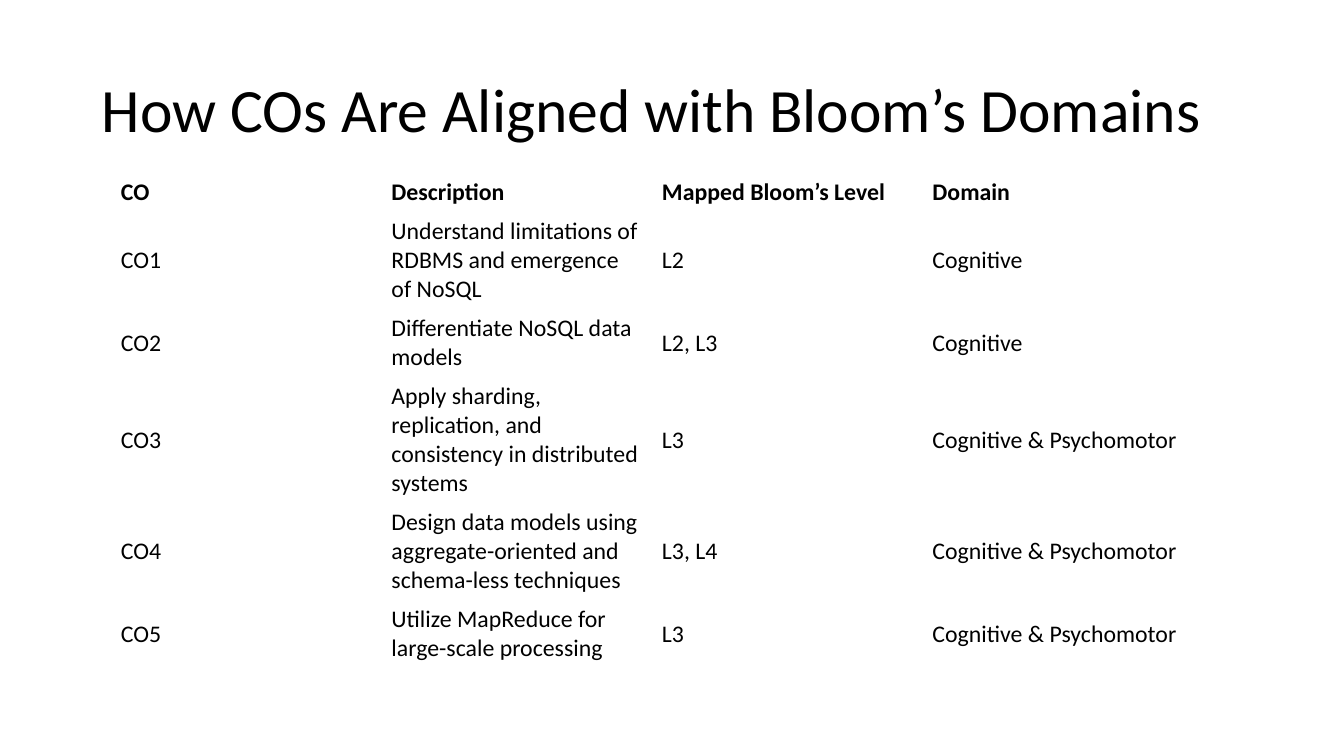
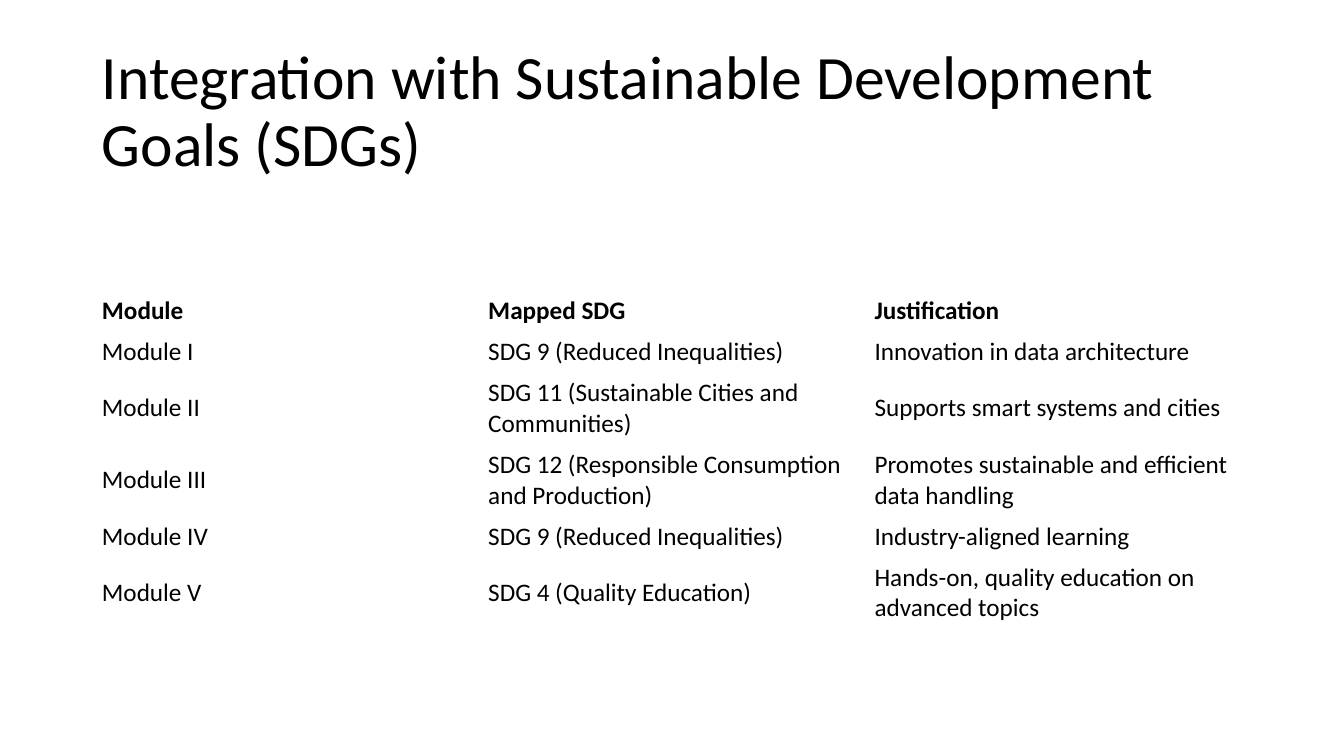
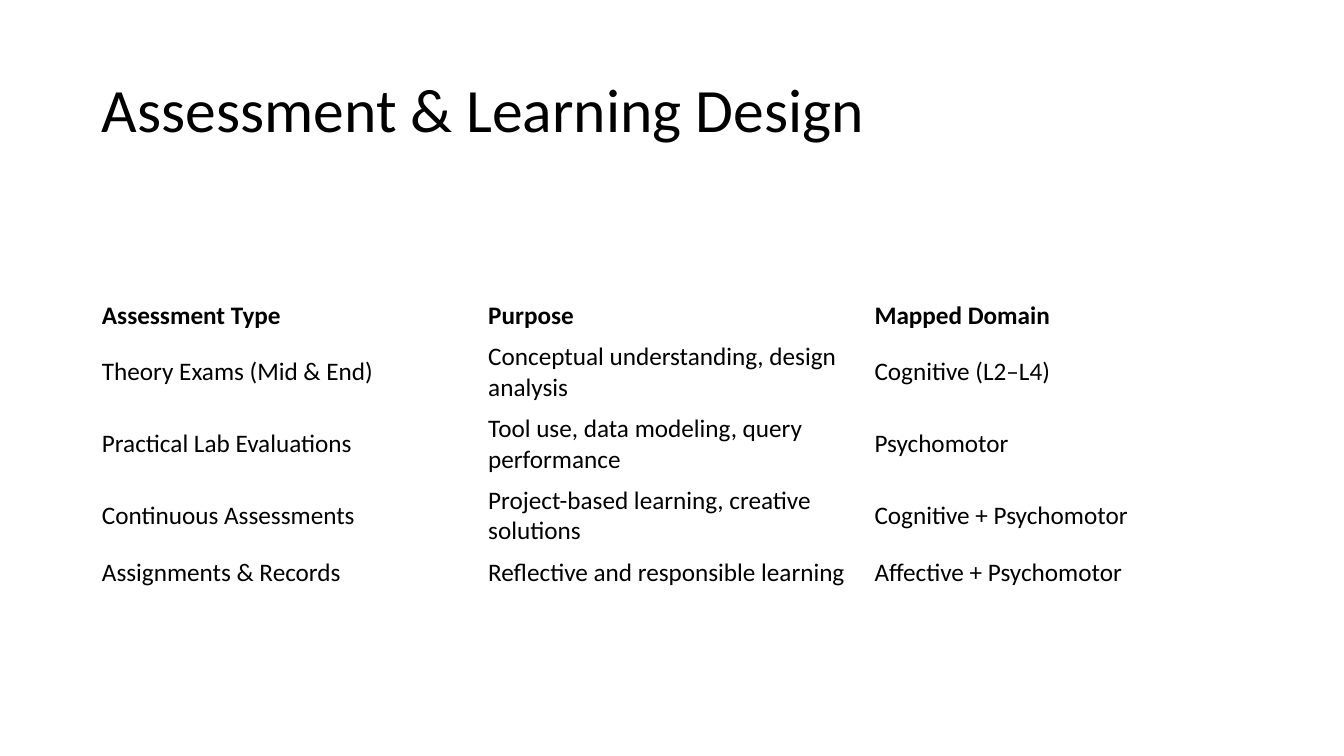
from pptx import Presentation
from pptx.dml.color import RGBColor
from pptx.enum.text import MSO_ANCHOR
from pptx.util import Pt

PX = 914400 / 100.8
MIDDLE = MSO_ANCHOR.MIDDLE
BLACK = RGBColor(0x00, 0x00, 0x00)
FONT = "Calibri"
TITLE_BOX = (92, 40, 1159, 146)
TITLE_SIZE = 44
CELL_PADDING = 5


def px(length):
    return round(length * PX)


def add_run(paragraph, text, size, bold=False):
    run = paragraph.add_run()
    run.text = text
    run.font.name = FONT
    run.font.size = Pt(size)
    run.font.bold = bold
    run.font.color.rgb = BLACK


SLIDES = [
    {
        "title": "How COs Are Aligned with Bloom’s Domains",
        "left": 112, "top": 173, "width": 1082,
        "size": 17, "line_height": 29, "side_margin": 9,
        "row_lines": [1, 3, 2, 4, 3, 2],
        "rows": [
            ("CO", "Description", "Mapped Bloom’s Level", "Domain"),
            ("CO1", "Understand limitations of RDBMS and emergence of NoSQL",
             "L2", "Cognitive"),
            ("CO2", "Differentiate NoSQL data models", "L2, L3", "Cognitive"),
            ("CO3", "Apply sharding, replication, and consistency in distributed systems",
             "L3", "Cognitive & Psychomotor"),
            ("CO4", "Design data models using aggregate-oriented and schema-less techniques",
             "L3, L4", "Cognitive & Psychomotor"),
            ("CO5", "Utilize MapReduce for large-scale processing",
             "L3", "Cognitive & Psychomotor"),
        ],
    },
    {
        "title": "Integration with Sustainable Development Goals (SDGs)",
        "left": 92, "top": 290, "width": 1159,
        "size": 18, "line_height": 31, "side_margin": 10,
        "row_lines": [1, 1, 2, 2, 1, 2],
        "rows": [
            ("Module", "Mapped SDG", "Justification"),
            ("Module I", "SDG 9 (Reduced Inequalities)", "Innovation in data architecture"),
            ("Module II", "SDG 11 (Sustainable Cities and Communities)",
             "Supports smart systems and cities"),
            ("Module III", "SDG 12 (Responsible Consumption and Production)",
             "Promotes sustainable and efficient data handling"),
            ("Module IV", "SDG 9 (Reduced Inequalities)", "Industry-aligned learning"),
            ("Module V", "SDG 4 (Quality Education)",
             "Hands-on, quality education on advanced topics"),
        ],
    },
    {
        "title": "Assessment & Learning Design",
        "left": 92, "top": 295, "width": 1159,
        "size": 18, "line_height": 31, "side_margin": 10,
        "row_lines": [1, 2, 2, 2, 1],
        "rows": [
            ("Assessment Type", "Purpose", "Mapped Domain"),
            ("Theory Exams (Mid & End)", "Conceptual understanding, design analysis",
             "Cognitive (L2–L4)"),
            ("Practical Lab Evaluations", "Tool use, data modeling, query performance",
             "Psychomotor"),
            ("Continuous Assessments", "Project-based learning, creative solutions",
             "Cognitive + Psychomotor"),
            ("Assignments & Records", "Reflective and responsible learning",
             "Affective + Psychomotor"),
        ],
    },
]

presentation = Presentation()
presentation.slide_width = px(1344)
presentation.slide_height = px(756)
blank_layout = presentation.slide_layouts[6]

for content in SLIDES:
    slide = presentation.slides.add_slide(blank_layout)

    title_frame = slide.shapes.add_textbox(*map(px, TITLE_BOX)).text_frame
    title_frame.word_wrap = True
    title_frame.vertical_anchor = MIDDLE
    title_paragraph = title_frame.paragraphs[0]
    title_paragraph.line_spacing = 0.9
    add_run(title_paragraph, content["title"], TITLE_SIZE)

    rows = content["rows"]
    row_heights = [lines * content["line_height"] + 2 * CELL_PADDING
                   for lines in content["row_lines"]]
    table = slide.shapes.add_table(
        len(rows), len(rows[0]), px(content["left"]), px(content["top"]),
        px(content["width"]), px(sum(row_heights))).table
    table.first_row = False
    table.horz_banding = False

    for row_index, (texts, height) in enumerate(zip(rows, row_heights)):
        table.rows[row_index].height = px(height)
        for column_index, text in enumerate(texts):
            cell = table.cell(row_index, column_index)
            cell.fill.background()
            cell.vertical_anchor = MIDDLE
            cell.margin_left = cell.margin_right = px(content["side_margin"])
            cell.margin_top = cell.margin_bottom = px(CELL_PADDING)
            add_run(cell.text_frame.paragraphs[0], text, content["size"], row_index == 0)

presentation.save("out.pptx")
